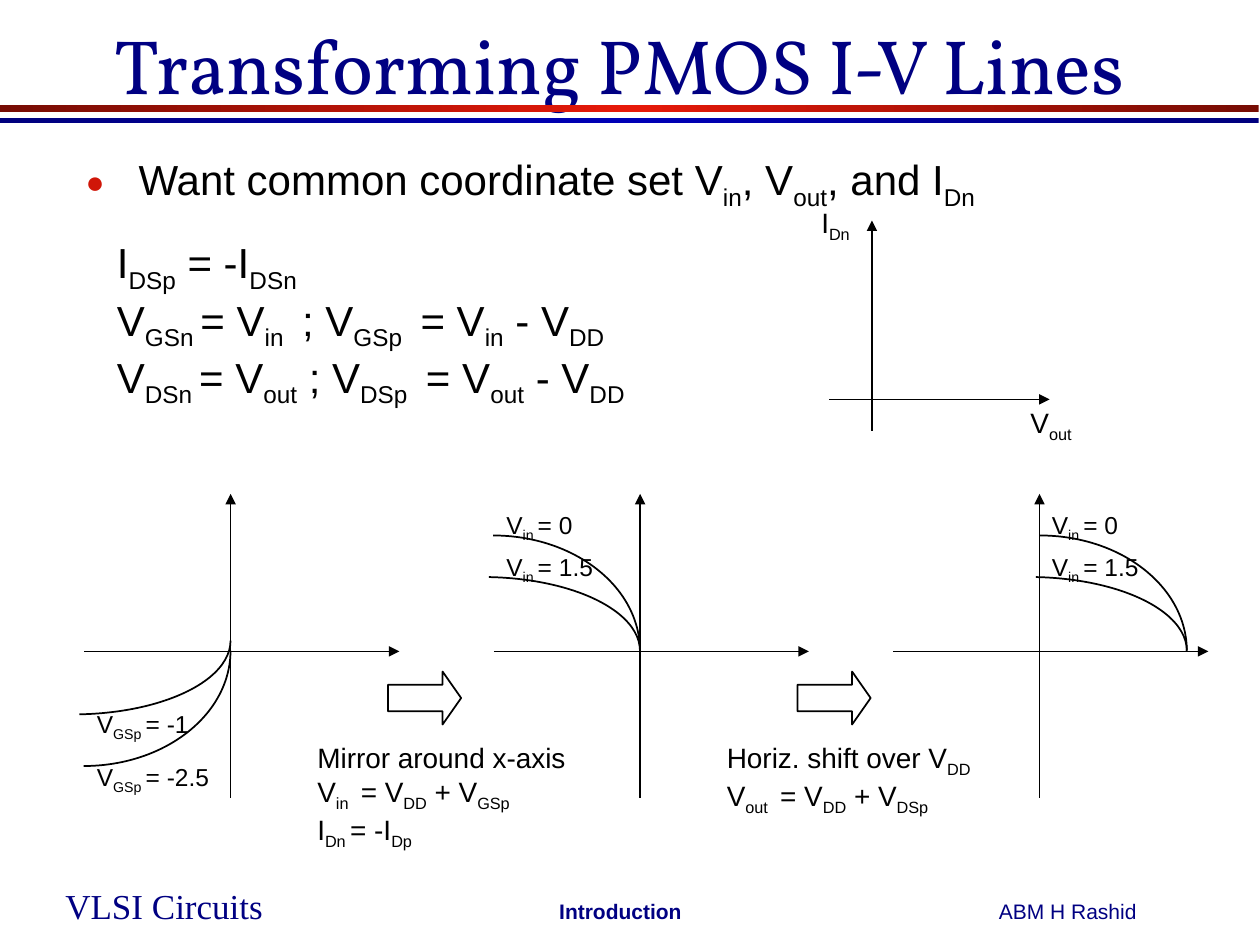
from copy import deepcopy

from lxml.etree import SubElement
from pptx import Presentation
from pptx.dml.color import RGBColor
from pptx.enum.shapes import MSO_CONNECTOR, MSO_SHAPE
from pptx.enum.text import MSO_ANCHOR, MSO_AUTO_SIZE, PP_ALIGN
from pptx.oxml.ns import qn
from pptx.util import Inches, Pt

BLACK = RGBColor(0x00, 0x00, 0x00)
NAVY = RGBColor(0x00, 0x00, 0x82)
BULLET_RED = RGBColor(0xD0, 0x16, 0x08)
RED_BAND = (RGBColor(0x76, 0x0C, 0x04), RGBColor(0xE7, 0x19, 0x09))
BLUE_BAND = (RGBColor(0x00, 0x00, 0x7E), RGBColor(0x00, 0x00, 0xB6))


def write(tf, text, size=16, font="Arial", color=BLACK, bold=False,
          align=PP_ALIGN.LEFT, anchor=MSO_ANCHOR.TOP, wrap=True):
    """Fill a text frame; lines split at newlines, subscripts stand between bars."""
    tf.word_wrap = wrap
    tf.auto_size = MSO_AUTO_SIZE.NONE
    tf.vertical_anchor = anchor
    for i, line in enumerate(text.split("\n")):
        p = tf.paragraphs[0] if i == 0 else tf.add_paragraph()
        p.alignment = align
        p.space_before = Pt(0)
        for j, part in enumerate(line.split("|")):
            if not part:
                continue
            r = p.add_run()
            r.text = part
            r.font.size, r.font.name = Pt(size), font
            r.font.bold, r.font.color.rgb = bold, color
            if j % 2:
                r._r.get_or_add_rPr().set("baseline", "-25000")


class Deck:
    """Holds the line style and the current slide."""

    def __init__(self, prs, line_width=1):
        self.line_width = Pt(line_width)
        self.s = prs.slides.add_slide(prs.slide_layouts[1])

    def place(self, sp, x, y, w, h):
        sp.left, sp.top, sp.width, sp.height = map(Inches, (x, y, w, h))

    def title(self, text, box, **fmt):
        sp = self.s.shapes.title
        self.place(sp, *box)
        write(sp.text_frame, text, **fmt)

    def bullet(self, text, box, indent, **fmt):
        sp = self.s.placeholders[1]
        self.place(sp, *box)
        write(sp.text_frame, text, **fmt)
        pPr = sp.text_frame.paragraphs[0]._p.get_or_add_pPr()
        pPr.set("marL", str(Inches(indent)))
        pPr.set("indent", str(-Inches(indent)))
        clr = SubElement(pPr, qn("a:buClr"))
        SubElement(clr, qn("a:srgbClr"), val=str(BULLET_RED))
        SubElement(pPr, qn("a:buSzPct"), val="75000")
        SubElement(pPr, qn("a:buChar"), char="●")

    def text(self, text, x, y, w, h, **fmt):
        sp = self.s.shapes.add_textbox(*map(Inches, (x, y, w, h)))
        write(sp.text_frame, text, **fmt)

    def shape(self, kind, x, y, w, h):
        sp = self.s.shapes.add_shape(kind, *map(Inches, (x, y, w, h)))
        sp.shadow.inherit = False
        sp.fill.background()
        sp.line.color.rgb = BLACK
        sp.line.width = self.line_width
        return sp

    def band(self, y, h, edge, middle):
        sp = self.shape(MSO_SHAPE.RECTANGLE, 0, y, 9.99, h)
        sp.line.fill.background()
        sp.fill.gradient()
        sp.fill.gradient_angle = 0
        gs_lst = sp._element.spPr.find(qn("a:gradFill")).find(qn("a:gsLst"))
        gs_lst.insert(1, deepcopy(gs_lst[0]))
        for stop, pos, color in zip(sp.fill.gradient_stops, (0, 0.5, 1),
                                    (edge, middle, edge)):
            stop.position, stop.color.rgb = pos, color

    def arc(self, x, y, w, h, start, end):
        sp = self.shape(MSO_SHAPE.ARC, x, y, w, h)
        sp.adjustments[0], sp.adjustments[1] = start * 0.6, end * 0.6

    def block_arrow(self, x, y):
        sp = self.shape(MSO_SHAPE.RIGHT_ARROW, x, y, 0.58, 0.42)
        sp.adjustments[0], sp.adjustments[1] = 0.5, 0.35

    def arrow(self, x1, y1, x2, y2):
        c = self.s.shapes.add_connector(
            MSO_CONNECTOR.STRAIGHT, *map(Inches, (x1, y1, x2, y2)))
        c.line.color.rgb = BLACK
        c.line.width = self.line_width
        SubElement(c.line._get_or_add_ln(), qn("a:tailEnd"), type="triangle")
        SubElement(c._element.spPr, qn("a:effectLst"))

    def axes(self, x, y, left, right, up, down):
        self.arrow(x, y + down, x, y - up)
        self.arrow(x - left, y, x + right, y)

    def plot(self, x, curve_end, label_x, labels, below=False):
        self.axes(x, 5.17, 1.16, 1.34, 1.25, 1.16)
        self.arc(curve_end - 2.33, 4.25, 2.33, 1.83,
                 *((0, 90) if below else (270, 0)))
        self.arc(curve_end - 2.5, 4.5 if below else 4.58, 2.5, 1.17,
                 *((0, 85) if below else (275, 0)))
        for label, y in labels:
            self.text(label, label_x, y, 1.17, 0.37, size=14)


def main():
    prs = Presentation()
    prs.slide_width, prs.slide_height = Inches(10), Inches(7.5)
    deck = Deck(prs)

    deck.band(0.83, 0.06, *RED_BAND)
    deck.band(0.94, 0.04, *BLUE_BAND)
    deck.text("VLSI Circuits", 0.42, 6.97, 1.77, 0.44, size=20,
              font="Times New Roman", color=NAVY, wrap=False)
    deck.text("ABM H Rashid", 7.83, 7.08, 1.42, 0.3, size=12, color=NAVY)
    deck.text("Introduction", 4.34, 7.08, 1.17, 0.3, size=12, color=NAVY,
              bold=True, wrap=False)

    deck.title("Transforming PMOS I-V Lines", (0.67, 0.25, 8.5, 0.67), size=44,
               font="Vollkorn", color=NAVY, align=PP_ALIGN.CENTER,
               anchor=MSO_ANCHOR.BOTTOM)
    deck.bullet("Want common coordinate set V|in|, V|out|, and I|Dn|",
                (0.58, 1.17, 8.58, 0.56), 0.42, size=24)
    deck.text("I|DSp| = -I|DSn|\n"
              "V|GSn |= V|in | ; V|GSp | = V|in| - V|DD|\n"
              "V|DSn |= V|out| ; V|DSp | = V|out| - V|DD|",
              0.83, 1.83, 4.67, 1.47, size=24)

    deck.axes(6.92, 3.17, 0.34, 1.41, 1.42, 0.25)
    deck.text("V|out|", 8.08, 3.17, 0.67, 0.41)
    deck.text("I|Dn|", 6.42, 1.58, 0.67, 0.41)

    vin_labels = [("V|in |= 1.5", 4.33), ("V|in |= 0", 4)]
    vgs_labels = [("V|GSp |= -2.5", 6), ("V|GSp |= -1", 5.58)]
    deck.plot(1.83, 1.83, 0.67, vgs_labels, below=True)
    deck.plot(5.08, 5.08, 3.92, vin_labels)
    deck.plot(8.25, 9.42, 8.25, vin_labels)

    steps = [
        (2.42, 0.98, "Mirror around x-axis\nV|in | = V|DD| + V|GSp|\nI|Dn |= -I|Dp|"),
        (5.67, 0.71, "Horiz. shift over V|DD|\nV|out | = V|DD| + V|DSp|"),
    ]
    for x, h, text in steps:
        deck.text(text, x, 5.83, 2.25, h)
        deck.block_arrow(x + 0.66, 5.33)

    prs.save("out.pptx")


if __name__ == "__main__":
    main()
